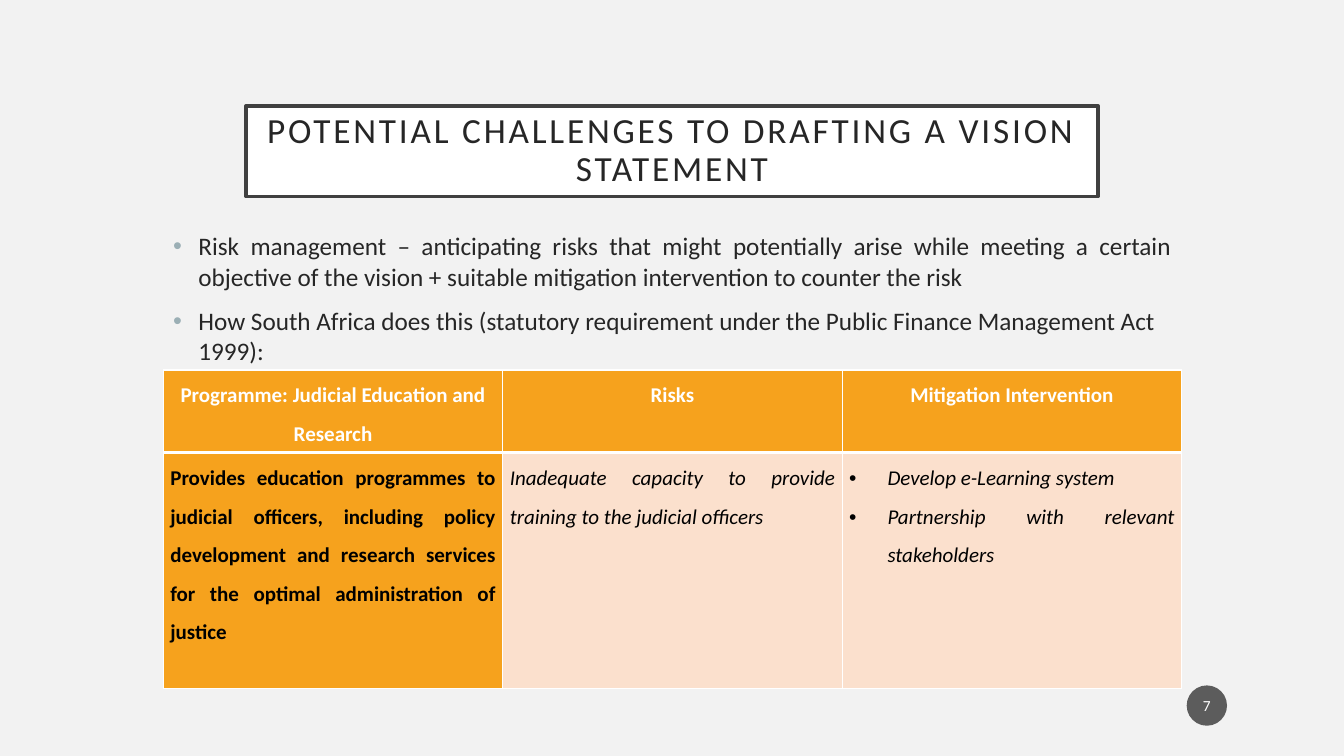
from lxml import etree
from pptx import Presentation
from pptx.dml.color import RGBColor
from pptx.enum.shapes import MSO_SHAPE
from pptx.enum.text import MSO_ANCHOR, PP_ALIGN
from pptx.oxml.ns import qn
from pptx.util import Inches, Pt


def color(code):
    return RGBColor.from_string(code)


def bullet(para, indent, code):
    props = para._p.get_or_add_pPr()
    props.set("marL", str(Inches(indent)))
    props.set("indent", str(-Inches(indent)))
    tint = etree.SubElement(props, qn("a:buClr"))
    etree.SubElement(tint, qn("a:srgbClr"), val=code)
    etree.SubElement(props, qn("a:buFont"), typeface="Arial")
    etree.SubElement(props, qn("a:buChar"), char="•")


deck = Presentation()
deck.slide_width, deck.slide_height = Inches(13.33), Inches(7.5)
slide = deck.slides.add_slide(deck.slide_layouts[6])
slide.background.fill.solid()
slide.background.fill.fore_color.rgb = color("F2F2F2")

# Title
title = slide.shapes.add_shape(
    MSO_SHAPE.RECTANGLE, Inches(2.44), Inches(1.05), Inches(8.45), Inches(0.9))
title.shadow.inherit = False
title.fill.solid()
title.fill.fore_color.rgb = color("FFFFFF")
title.line.color.rgb = color("404040")
title.line.width = Pt(2.5)
frame = title.text_frame
frame.word_wrap = True
frame.vertical_anchor = MSO_ANCHOR.MIDDLE
frame.margin_left = frame.margin_right = Inches(0.2)
frame.margin_top = frame.margin_bottom = Inches(0.2)
frame.text = "POTENTIAL CHALLENGES TO DRAFTING A VISION STATEMENT"
para = frame.paragraphs[0]
para.alignment = PP_ALIGN.CENTER
para.line_spacing = 0.9
font = para.runs[0].font
font.name, font.size = "Calibri", Pt(25.2)
font.color.rgb = color("262626")
para.runs[0]._r.get_or_add_rPr().set("spc", "200")

# Body points
body = slide.shapes.add_textbox(
    Inches(1.62), Inches(2.24), Inches(10.1), Inches(4.03))
frame = body.text_frame
frame.word_wrap = True
points = [
    ("Risk management – anticipating risks that might potentially arise while "
     "meeting a certain objective of the vision + suitable mitigation "
     "intervention to counter the risk", PP_ALIGN.JUSTIFY),
    ("How South Africa does this (statutory requirement under the Public "
     "Finance Management Act 1999):", PP_ALIGN.LEFT),
]
frame.text = "\n".join(text for text, align in points)
for para, (text, align) in zip(frame.paragraphs, points):
    bullet(para, 0.25, "9BAFB5")
    para.alignment = align
    font = para.runs[0].font
    font.name, font.size = "Calibri", Pt(18)
    font.color.rgb = color("262626")
frame.paragraphs[1].space_before = Pt(10)

# Risk table
rows = [
    ["Programme: Judicial Education and Research", "Risks",
     "Mitigation Intervention"],
    ["Provides education programmes to judicial officers, including policy "
     "development and research services for the optimal administration of "
     "justice",
     "Inadequate capacity to provide training to the judicial officers",
     "Develop e-Learning system\nPartnership with relevant stakeholders"],
]
table = slide.shapes.add_table(
    2, 3, Inches(1.62), Inches(3.67), Inches(10.1), Inches(3.16)).table
table.rows[0].height, table.rows[1].height = Inches(0.82), Inches(2.34)
for r, row in enumerate(rows):
    for c, text in enumerate(row):
        cell = table.cell(r, c)
        head, plain = r == 0, r == 1 and c > 0

        # Borders, with a thick rule below the header
        props = cell._tc.get_or_add_tcPr()
        thick = "lnB" if head else "lnT"
        for side in ("lnL", "lnR", "lnT", "lnB"):
            width = Pt(3 if side == thick else 1)
            edge = etree.SubElement(props, qn("a:" + side), w=str(width))
            fill = etree.SubElement(edge, qn("a:solidFill"))
            etree.SubElement(fill, qn("a:srgbClr"), val="FFFFFF")
        cell.fill.solid()
        cell.fill.fore_color.rgb = color("FBE0CD" if plain else "F6A21D")

        # Cell text
        cell.margin_left = cell.margin_right = Inches(0.07)
        cell.margin_top = cell.margin_bottom = 0
        cell.text_frame.text = text
        for para in cell.text_frame.paragraphs:
            if r == 1 and c == 2:
                bullet(para, 0.38, "000000")
            para.alignment = PP_ALIGN.CENTER if head else PP_ALIGN.JUSTIFY
            para.line_spacing = 1.5
            font = para.runs[0].font
            font.name, font.size = "Calibri", Pt(15)
            font.bold, font.italic = not plain, plain
            font.color.rgb = color("FFFFFF" if head else "000000")

# Page number
badge = slide.shapes.add_shape(
    MSO_SHAPE.OVAL, Inches(11.77), Inches(6.8), Inches(0.4), Inches(0.4))
badge.shadow.inherit = False
badge.fill.solid()
badge.fill.fore_color.rgb = color("1D1D1D")
tint = badge._element.spPr.find(qn("a:solidFill"))[0]
etree.SubElement(tint, qn("a:alpha"), val="70000")
badge.line.fill.background()
frame = badge.text_frame
frame.vertical_anchor = MSO_ANCHOR.MIDDLE
frame.margin_left = frame.margin_right = Inches(0.02)
frame.text = "7"
para = frame.paragraphs[0]
para.alignment = PP_ALIGN.CENTER
font = para.runs[0].font
font.name, font.size = "Calibri", Pt(11)
font.color.rgb = color("FFFFFF")

deck.save("out.pptx")
